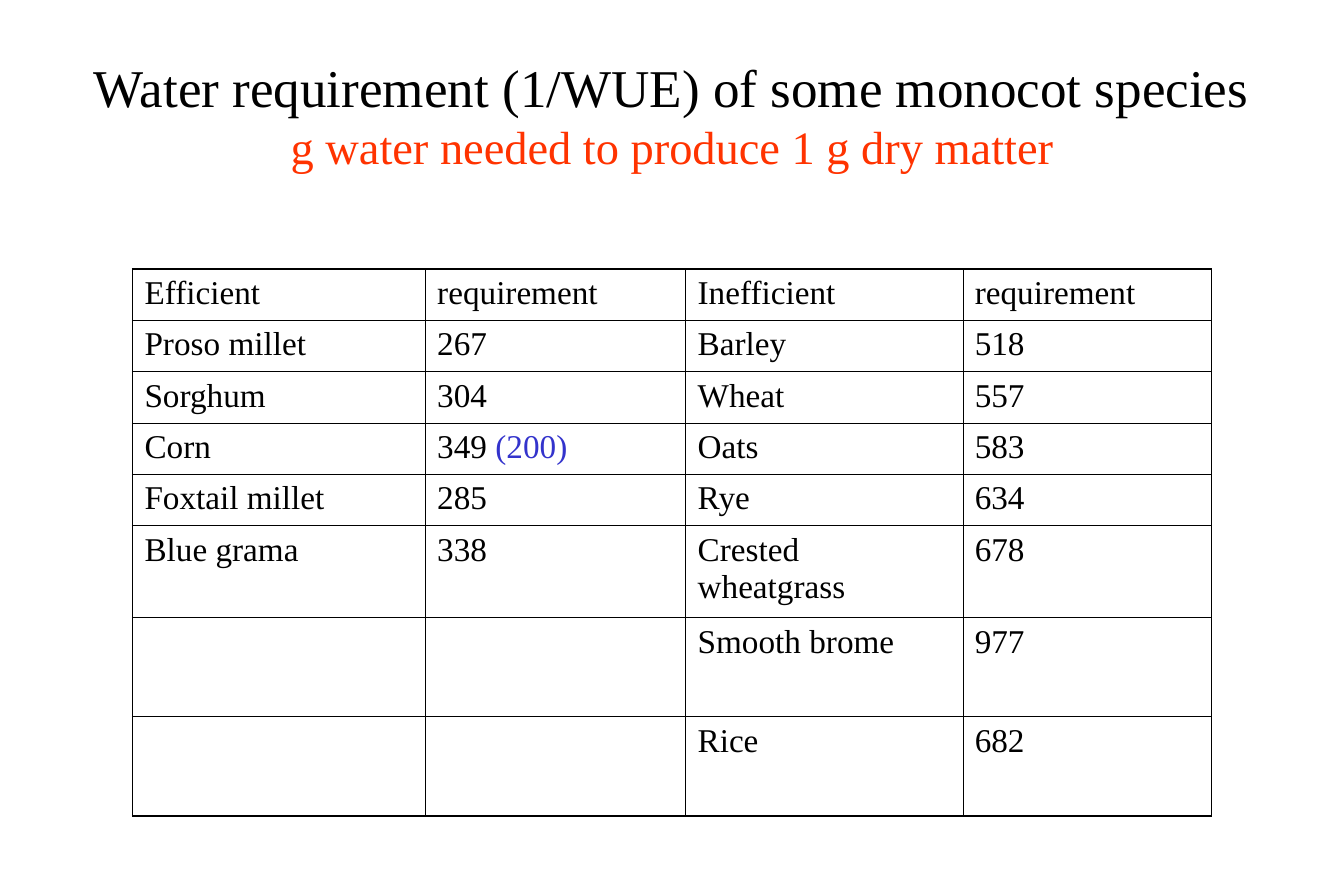
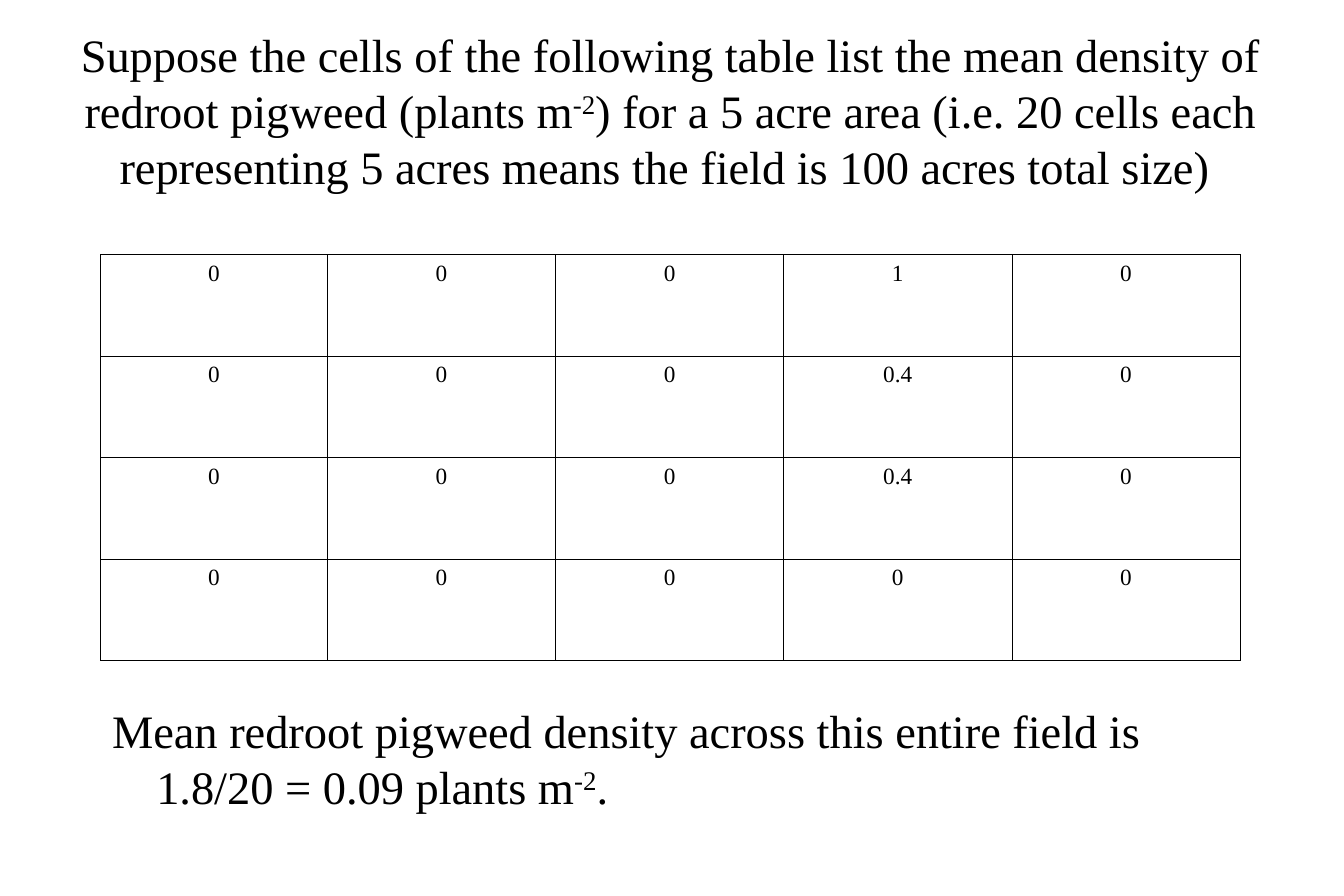
from lxml import etree
from pptx import Presentation
from pptx.dml.color import RGBColor
from pptx.enum.text import MSO_ANCHOR, MSO_AUTO_SIZE, PP_ALIGN
from pptx.oxml.ns import qn
from pptx.util import Pt

PX = 9144
FONT = "Times New Roman"
BLACK, RED, BLUE = "000000", "FF3300", "3333CC"
LEFT, CENTER = PP_ALIGN.LEFT, PP_ALIGN.CENTER
MIDDLE, FIXED = MSO_ANCHOR.MIDDLE, MSO_AUTO_SIZE.NONE
HANG = 37 * PX
THIN = 0.45
MINUS = ("-2", {"sup": True})


def write(par, parts, size, align=LEFT, hang=False):
    par.alignment = align
    if hang:
        props = par._p.get_or_add_pPr()
        props.set("marL", str(HANG))
        props.set("indent", str(-HANG))
    par.font.name = FONT
    par.font.size = Pt(size)
    par.font.color.rgb = RGBColor.from_string(BLACK)
    for text, look in parts:
        if text == "\n":
            par.add_line_break()
            continue
        run = par.add_run()
        run.text = text
        if "hue" in look:
            run.font.color.rgb = RGBColor.from_string(look["hue"])
        if "size" in look:
            run.font.size = Pt(look["size"])
        if "sup" in look:
            run._r.get_or_add_rPr().set("baseline", "30000")


def grid(slide, spot, cols, rows, data, rim, size, align, hang):
    left, top = spot
    box = [n * PX for n in (left, top, sum(cols), sum(rows))]
    table = slide.shapes.add_table(len(rows), len(cols), *box).table
    table.first_row = table.horz_banding = False
    for col, width in zip(table.columns, cols):
        col.width = width * PX
    for row, height in zip(table.rows, rows):
        row.height = height * PX
    for r, line in enumerate(data):
        for c, parts in enumerate(line):
            cell = table.cell(r, c)
            if isinstance(parts, str):
                parts = [(parts, {})] if parts else []
            write(cell.text_frame.paragraphs[0], parts, size, align, hang)
            props = cell._tc.get_or_add_tcPr()
            sides = {"L": c == 0, "R": c == len(cols) - 1,
                     "T": r == 0, "B": r == len(rows) - 1}
            for side, outer in sides.items():
                width = Pt(rim if outer else THIN)
                edge = etree.SubElement(props, qn("a:ln" + side), w=str(width))
                fill = etree.SubElement(edge, qn("a:solidFill"))
                etree.SubElement(fill, qn("a:srgbClr"), val=BLACK)
            cell.fill.background()


deck = Presentation()
deck.slide_width, deck.slide_height = 1125 * PX, 750 * PX

heads = [
    ((46, 33, 1033, 125), 32, [
        ("Water requirement (1/WUE) of some monocot species", {}),
        ("\n", {}),
        ("g water needed to produce 1 g dry matter", {"hue": RED, "size": 28}),
    ]),
    ((57, 17, 1008, 150), 28, [
        ("Suppose the cells of the following table list the mean density of "
         "redroot pigweed (plants m", {}),
        MINUS,
        (") for a 5 acre area (i.e. 20 cells each representing 5 acres means "
         "the field is 100 acres total size) ", {}),
    ]),
]
slides = []
for box, size, parts in heads:
    slide = deck.slides.add_slide(deck.slide_layouts[5])
    title = slide.shapes.title
    title.left, title.top, title.width, title.height = [n * PX for n in box]
    frame = title.text_frame
    frame.auto_size = FIXED
    frame.vertical_anchor = MIDDLE
    write(frame.paragraphs[0], parts, size, CENTER)
    slides.append(slide)
water, field = slides

needs = [
    ("Efficient", "requirement", "Inefficient", "requirement"),
    ("Proso millet", "267", "Barley", "518"),
    ("Sorghum", "304", "Wheat", "557"),
    ("Corn", [("349 ", {}), ("(200)", {"hue": BLUE})], "Oats", "583"),
    ("Foxtail millet", "285", "Rye", "634"),
    ("Blue grama", "338", "Crested wheatgrass", "678"),
    ("", "", "Smooth brome", "977"),
    ("", "", "Rice", "682"),
]
grid(water, (111, 225), [245, 218, 232, 208], [43] * 5 + [77, 83, 83],
     needs, 1.08, 20, LEFT, False)

counts = [["0", "0", "0", peak, "0"] for peak in ("1", "0.4", "0.4", "0")]
grid(field, (84, 213), [190] + [191] * 4, [85] * 4,
     counts, THIN, 14, CENTER, True)

note = field.shapes.add_textbox(84 * PX, 583 * PX, 956 * PX, 108 * PX)
note.text_frame.word_wrap = True
write(note.text_frame.paragraphs[0], [
    ("Mean redroot pigweed density across this entire field is "
     "1.8/20 = 0.09 plants m", {}),
    MINUS,
    (".", {}),
], 28, LEFT, True)

deck.save("out.pptx")
